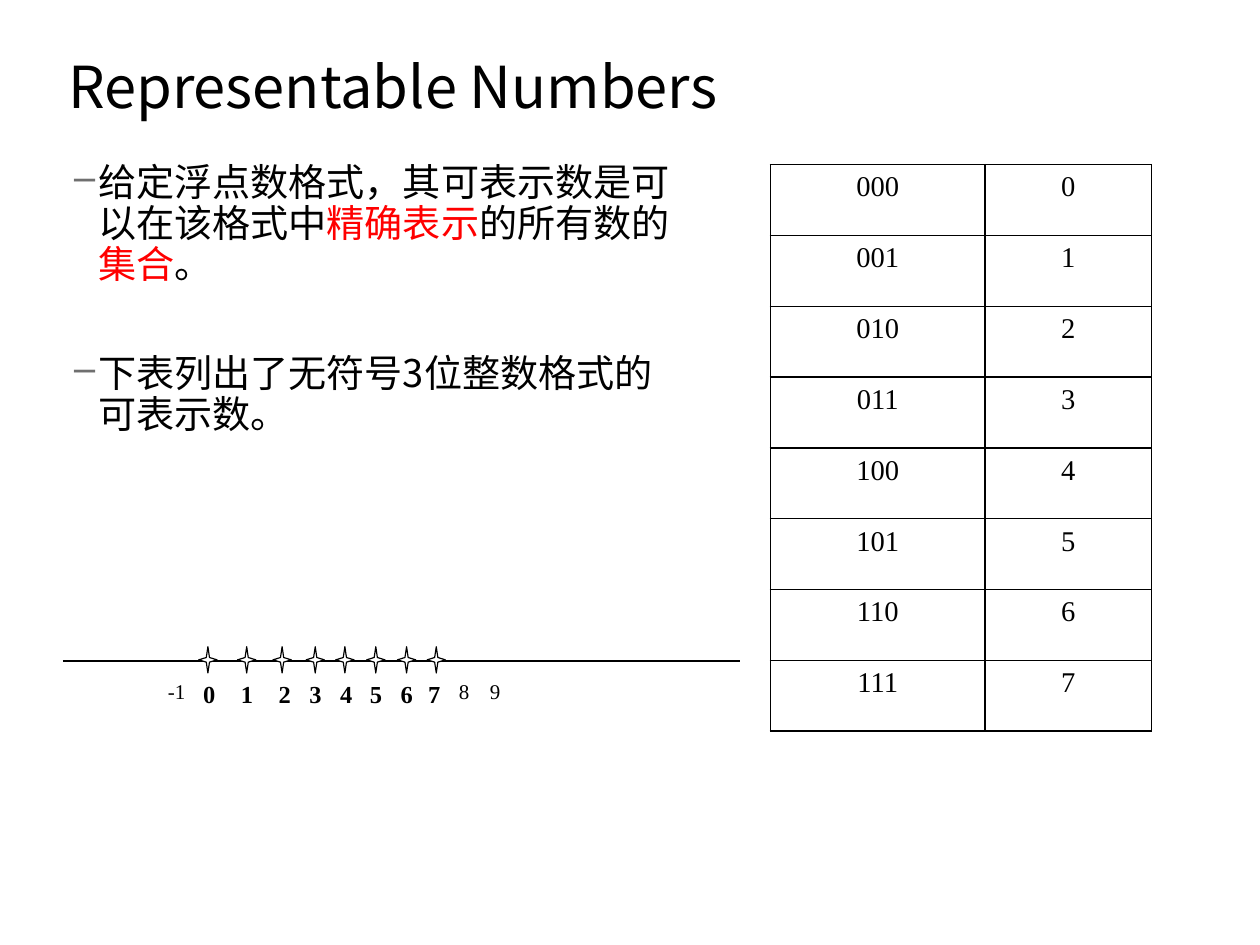
from dataclasses import dataclass
from lxml.etree import SubElement
from pptx import Presentation
from pptx.dml.color import RGBColor
from pptx.enum.shapes import MSO_CONNECTOR, MSO_SHAPE
from pptx.enum.text import MSO_ANCHOR, PP_ALIGN
from pptx.oxml.ns import qn
from pptx.util import Cm, Emu, Inches, Pt


@dataclass(frozen=True)
class Theme:
    black: str = "000000"
    white: str = "FFFFFF"
    red: str = "FF0000"
    grey: str = "6F6F6F"
    sans: str = "Noto Sans CJK SC"
    serif: str = "Times New Roman"
    title: float = 36.4
    body: float = 24
    cell: float = 18
    mark: float = 15.4
    tick: float = 13.2
    border: float = 1
    line: float = 0.75
    spacing: float = 0.9


T = Theme()
BITS = 3

# Star centre and label left edge, in percent of the number line's width
STARS = [21.42, 27.15, 32.38, 37.27, 41.65, 46.21, 50.76, 55.14]
LABELS = {-1: 13.83, 0: 19.06, 1: 24.62, 2: 30.19, 3: 34.74, 4: 39.29,
          5: 43.68, 6: 48.23, 7: 52.28, 8: 56.83, 9: 61.38}

POINTS = [
    [("给定浮点数格式，其可表示数是可以在该格式中", T.black), ("精确表示", T.red),
     ("的所有数的", T.black), ("集合", T.red), ("。", T.black)],
    [("下表列出了无符号3位整数格式的可表示数。", T.black)],
]


def within(box, x, y, w, h):
    """Box at percentages of another box."""
    left, top, width, height = box
    return (Emu(int(left + width * x / 100)), Emu(int(top + height * y / 100)),
            Emu(int(width * w / 100)), Emu(int(height * h / 100)))


def style(r, size, name, color=T.black, bold=False):
    r.font.size, r.font.name, r.font.bold = Pt(size), name, bold
    r.font.color.rgb = RGBColor.from_string(color)
    SubElement(r._r.get_or_add_rPr(), qn("a:ea")).set("typeface", name)


def add_text(s, box):
    tf = s.shapes.add_textbox(*box).text_frame
    tf.word_wrap = True
    return tf


def add_title(s, box):
    tf = add_text(s, box)
    tf.vertical_anchor = MSO_ANCHOR.MIDDLE
    p = tf.paragraphs[0]
    p.text = "Representable Numbers"
    p.line_spacing = T.spacing
    style(p.runs[0], T.title, T.sans)


def add_dash(p):
    pPr = p._p.get_or_add_pPr()
    indent = Inches(0.21)
    pPr.set("marL", str(indent))
    pPr.set("indent", str(-indent))
    SubElement(SubElement(pPr, qn("a:buClr")), qn("a:srgbClr")).set("val", T.grey)
    SubElement(pPr, qn("a:buChar")).set("char", "–")


def add_points(s, box):
    tf = add_text(s, box)
    for i, parts in enumerate(POINTS):
        p = tf.add_paragraph() if i else tf.paragraphs[0]
        add_dash(p)
        p.line_spacing = T.spacing
        p.space_before = Pt(40 if i else 0)
        p.space_after = Pt(2.7)
        for text, color in parts:
            r = p.add_run()
            r.text = text
            style(r, T.body, T.sans, color)


def add_borders(cell):
    tcPr = cell._tc.get_or_add_tcPr()
    for side in ("lnL", "lnR", "lnT", "lnB"):
        ln = SubElement(tcPr, qn(f"a:{side}"), w=str(Pt(T.border)))
        fill = SubElement(ln, qn("a:solidFill"))
        SubElement(fill, qn("a:srgbClr")).set("val", T.black)


def add_code_table(s, box):
    rows = 2 ** BITS
    table = s.shapes.add_table(rows, 2, *box).table
    table.first_row = table.horz_banding = False
    for column, share in zip(table.columns, (0.563, 0.437)):
        column.width = Emu(int(box[2] * share))
    for n in range(rows):
        table.rows[n].height = Emu(box[3] // rows)
        for cell, text in zip(table.rows[n].cells, (f"{n:0{BITS}b}", str(n))):
            add_borders(cell)
            cell.fill.background()
            cell.margin_left = cell.margin_right = Inches(0.29)
            cell.margin_top = cell.margin_bottom = Inches(0.06)
            p = cell.text_frame.paragraphs[0]
            p.text = text
            p.alignment = PP_ALIGN.CENTER
            style(p.runs[0], T.cell, T.serif)


def add_number_line(s, box):
    # Axis
    x, y, w, _ = within(box, 0, 25, 100, 0)
    axis = s.shapes.add_connector(MSO_CONNECTOR.STRAIGHT, x, y, x + w, y)
    axis.line.color.rgb = RGBColor.from_string(T.black)
    axis.line.width = Pt(T.line)
    SubElement(axis._element.spPr, qn("a:effectLst"))

    # Representable values
    star_width = 2.7
    for centre in STARS:
        sp = s.shapes.add_shape(MSO_SHAPE.STAR_4_POINT,
                                *within(box, centre - star_width / 2, 0, star_width, 46))
        sp.adjustments[0] = 0.125
        sp.shadow.inherit = False
        sp.fill.solid()
        sp.fill.fore_color.rgb = RGBColor.from_string(T.white)
        sp.line.color.rgb = RGBColor.from_string(T.black)
        sp.line.width = Pt(T.line)

    # Labels, bold where the value is representable
    for n, left in LABELS.items():
        tf = add_text(s, within(box, left, 46, 6.4 if n < 0 else 5.5, 54))
        tf.margin_top = Inches(0.05)
        tf.margin_bottom = 0
        p = tf.paragraphs[0]
        p.text = str(n)
        shown = 0 <= n < 2 ** BITS
        style(p.runs[0], T.mark if shown else T.tick, T.serif, bold=shown)


def main():
    prs = Presentation()
    prs.slide_width, prs.slide_height = Cm(28), Cm(21)
    s = prs.slides.add_slide(prs.slide_layouts[6])
    page = (0, 0, prs.slide_width, prs.slide_height)
    add_title(s, within(page, 4.54, 5.45, 90.9, 8.1))
    add_code_table(s, within(page, 61.14, 17.41, 30.26, 59.98))
    add_points(s, within(page, 4.99, 16.69, 49.26, 66.63))
    add_number_line(s, within(page, 4.99, 68.44, 53.75, 6.05))
    prs.save("out.pptx")


if __name__ == "__main__":
    main()
